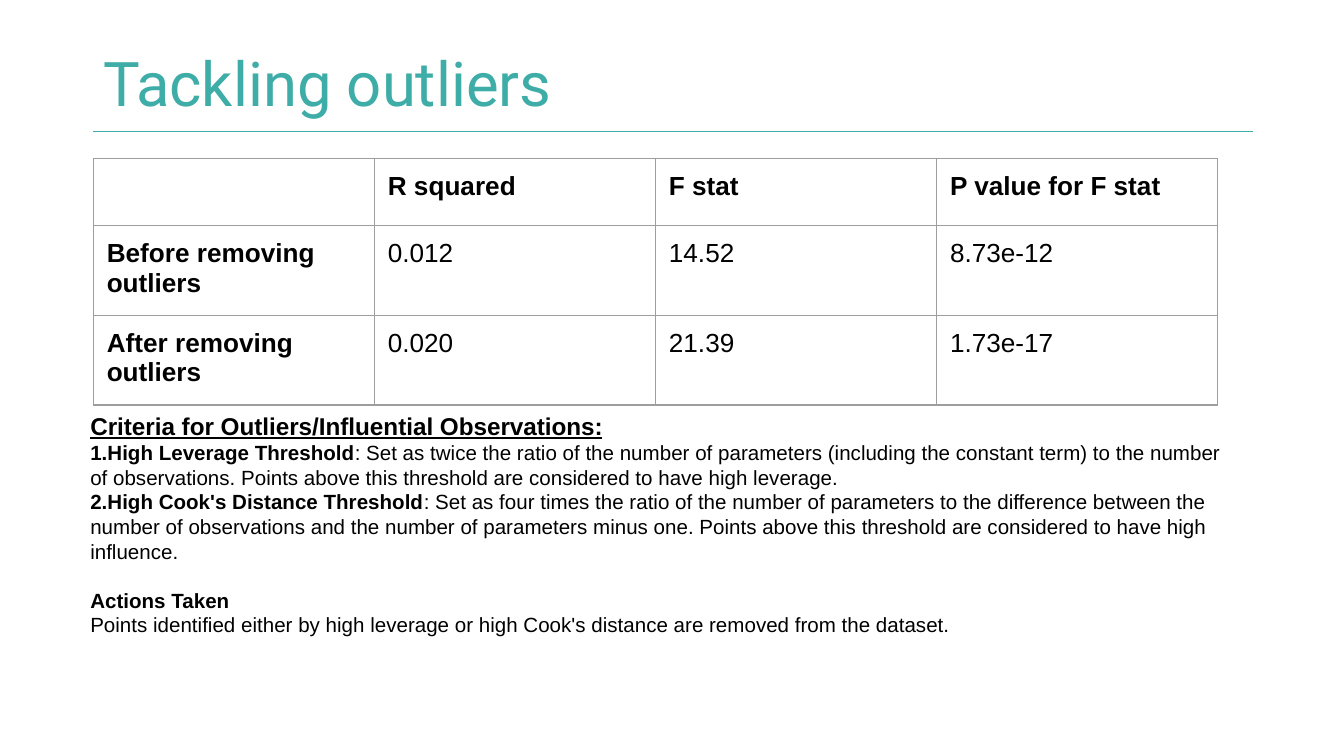
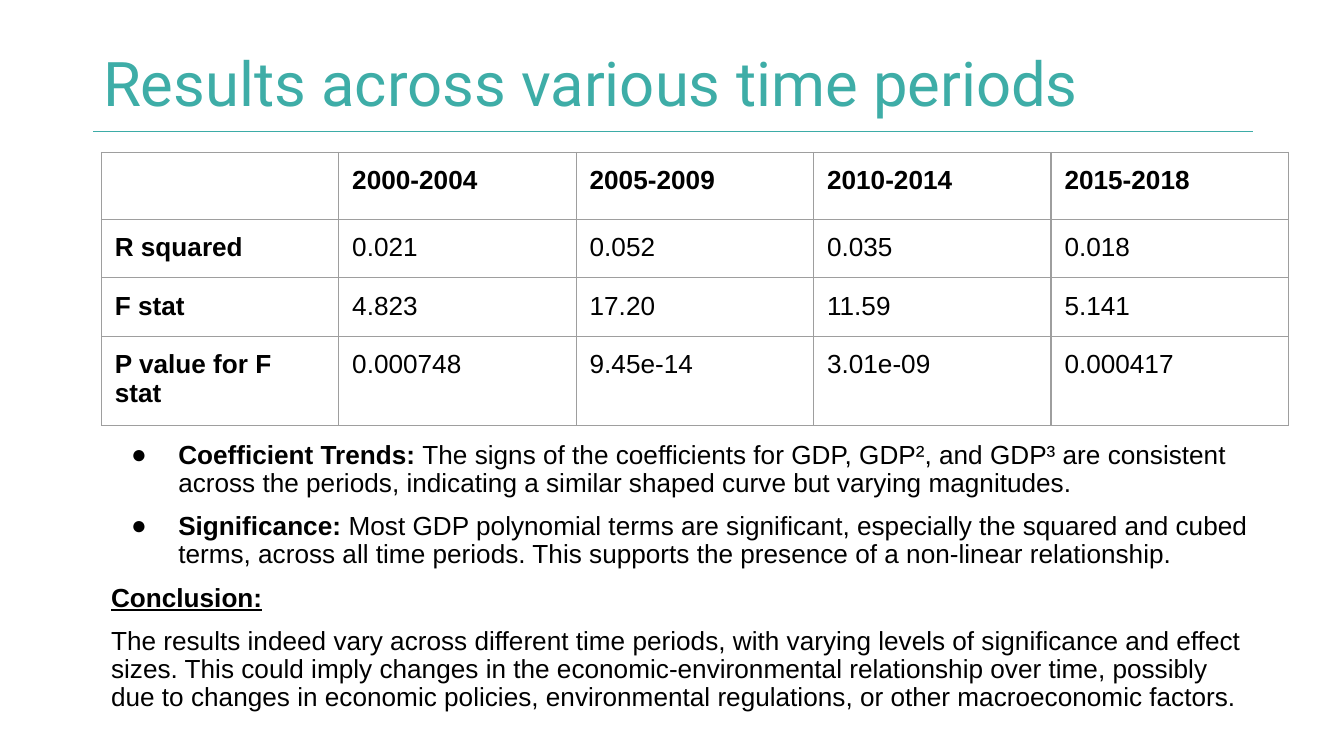
from lxml.etree import SubElement
from pptx import Presentation
from pptx.dml.color import RGBColor
from pptx.enum.shapes import MSO_CONNECTOR as CONNECTOR
from pptx.enum.text import MSO_ANCHOR as ANCHOR
from pptx.oxml.ns import qn
from pptx.util import Pt

# Shared look
TITLE_COLOR, RULE_COLOR = "3EADA7", "3DACA7"
TEXT_COLOR, BORDER_COLOR = "000000", "9E9E9E"
TITLE_FONT, BODY_FONT = "Roboto", "Arial"
TABLE_SIZE, CELL_MARGIN, LINE_WIDTH = 14, 7.2, 0.75
BULLET_INDENT, BULLET_HANG = 36, 25.2

# Content: paragraphs hold (text, style) runs; style is b(old) and u(nderline)
SLIDES = [
    {
        "title": "Tackling outliers",
        "table": {
            "left": 50, "top": 84.8, "column": 150.6, "heights": [34.3, 46, 46],
            "rows": [
                ["", "R squared", "F stat", "P value for F stat"],
                ["Before removing outliers", "0.012", "14.52", "8.73e-12"],
                ["After removing outliers", "0.020", "21.39", "1.73e-17"],
            ],
        },
        "body": {
            "box": (43.2, 217.5, 628, 147.5), "size": 11, "spacing": 1, "gap": 0,
            "paragraphs": [
                {"size": 13, "runs": [
                    ("Criteria for Outliers/Influential Observations:", "bu")]},
                {"runs": [
                    ("1.High Leverage Threshold", "b"),
                    (": Set as twice the ratio of the number of parameters (including "
                     "the constant term) to the number of observations. Points above "
                     "this threshold are considered to have high leverage.", "")]},
                {"runs": [
                    ("2.High Cook's Distance Threshold", "b"),
                    (": Set as four times the ratio of the number of parameters to the "
                     "difference between the number of observations and the number of "
                     "parameters minus one. Points above this threshold are considered "
                     "to have high influence.", "")]},
                {"gap": 13, "runs": [("Actions Taken", "b")]},
                {"runs": [
                    ("Points identified either by high leverage or high Cook's distance "
                     "are removed from the dataset.", "")]},
            ],
        },
    },
    {
        "title": "Results across various time periods",
        "table": {
            "left": 54.3, "top": 81.6, "column": 127.2,
            "heights": [34.3, 30.3, 30.3, 46],
            "rows": [
                ["", "2000-2004", "2005-2009", "2010-2014", "2015-2018"],
                ["R squared", "0.021", "0.052", "0.035", "0.018"],
                ["F stat", "4.823", "17.20", "11.59", "5.141"],
                ["P value for F stat", "0.000748", "9.45e-14", "3.01e-09", "0.000417"],
            ],
        },
        "body": {
            "box": (54.3, 234, 625, 130), "size": 14, "spacing": 0.9, "gap": 8,
            "paragraphs": [
                {"bullet": True, "runs": [
                    ("Coefficient Trends:", "b"),
                    (" The signs of the coefficients for GDP, GDP², and GDP³ are "
                     "consistent across the periods, indicating a similar shaped curve "
                     "but varying magnitudes.", "")]},
                {"bullet": True, "runs": [
                    ("Significance:", "b"),
                    (" Most GDP polynomial terms are significant, especially the squared "
                     "and cubed terms, across all time periods. This supports the "
                     "presence of a non-linear relationship.", "")]},
                {"runs": [("Conclusion:", "bu")]},
                {"runs": [
                    ("The results indeed vary across different time periods, with varying "
                     "levels of significance and effect sizes. This could imply changes "
                     "in the economic-environmental relationship over time, possibly due "
                     "to changes in economic policies, environmental regulations, or "
                     "other macroeconomic factors.", "")]},
            ],
        },
    },
]


def color(value):
    return RGBColor.from_string(value)


def style_run(run, size, style="", font=BODY_FONT, fill=TEXT_COLOR):
    run.font.name = font
    run.font.size = Pt(size)
    run.font.bold = "b" in style
    run.font.underline = "u" in style
    run.font.color.rgb = color(fill)


def add_text_frame(slide, box):
    text_frame = slide.shapes.add_textbox(*map(Pt, box)).text_frame
    text_frame.word_wrap = True
    text_frame.margin_left = text_frame.margin_right = Pt(5.2)
    text_frame.margin_top = text_frame.margin_bottom = Pt(2.6)
    return text_frame


def add_heading(slide, title):
    # Thin rule below the title
    rule = slide.shapes.add_connector(
        CONNECTOR.STRAIGHT, Pt(50), Pt(70.4), Pt(671), Pt(70.4))
    rule.line.color.rgb = color(RULE_COLOR)
    rule.line.width = Pt(LINE_WIDTH)
    SubElement(rule._element.spPr, qn("a:effectLst"))
    # Title
    text_frame = add_text_frame(slide, (50, 21.6, 558, 49))
    text_frame.vertical_anchor = ANCHOR.MIDDLE
    text_frame.text = title
    paragraph = text_frame.paragraphs[0]
    paragraph.line_spacing = 0.9
    style_run(paragraph.runs[0], 33, font=TITLE_FONT, fill=TITLE_COLOR)


def add_borders(cell):
    properties = cell._tc.get_or_add_tcPr()
    for position, side in enumerate(("a:lnL", "a:lnR", "a:lnT", "a:lnB")):
        line = SubElement(properties, qn(side), w=str(Pt(LINE_WIDTH)))
        fill = SubElement(line, qn("a:solidFill"))
        SubElement(fill, qn("a:srgbClr"), val=BORDER_COLOR)
        properties.insert(position, line)  # borders come before the fill


def add_table(slide, left, top, column, heights, rows):
    count = len(rows[0])
    table = slide.shapes.add_table(
        len(rows), count, Pt(left), Pt(top),
        Pt(column * count), Pt(sum(heights))).table
    table.first_row = table.horz_banding = False
    for table_column in table.columns:
        table_column.width = Pt(column)
    for r, (height, row) in enumerate(zip(heights, rows)):
        table.rows[r].height = Pt(height)
        for c, text in enumerate(row):
            cell = table.cell(r, c)
            cell.margin_left = cell.margin_right = Pt(CELL_MARGIN)
            cell.margin_top = cell.margin_bottom = Pt(CELL_MARGIN)
            cell.fill.background()
            add_borders(cell)
            if text:
                cell.text_frame.text = text
                run = cell.text_frame.paragraphs[0].runs[0]
                style_run(run, TABLE_SIZE, "b" if r == 0 or c == 0 else "")


def add_bullet(paragraph):
    properties = paragraph._p.get_or_add_pPr()
    properties.set("marL", str(Pt(BULLET_INDENT)))
    properties.set("indent", str(-Pt(BULLET_HANG)))
    bullet_color = SubElement(properties, qn("a:buClr"))
    SubElement(bullet_color, qn("a:srgbClr"), val=TEXT_COLOR)
    SubElement(properties, qn("a:buFont"), typeface=BODY_FONT)
    SubElement(properties, qn("a:buChar"), char="●")


def add_body(slide, box, size, spacing, gap, paragraphs):
    text_frame = add_text_frame(slide, box)
    for index, item in enumerate(paragraphs):
        paragraph = text_frame.add_paragraph() if index else text_frame.paragraphs[0]
        if item.get("bullet"):
            add_bullet(paragraph)
        paragraph.line_spacing = spacing
        paragraph.space_before = Pt(item.get("gap", gap) if index else 0)
        for text, style in item["runs"]:
            run = paragraph.add_run()
            run.text = text
            style_run(run, item.get("size", size), style)


def main():
    presentation = Presentation()
    presentation.slide_width, presentation.slide_height = Pt(720), Pt(405)
    for content in SLIDES:
        slide = presentation.slides.add_slide(presentation.slide_layouts[6])
        add_heading(slide, content["title"])
        add_body(slide, **content["body"])
        add_table(slide, **content["table"])
    presentation.save("out.pptx")


if __name__ == "__main__":
    main()
